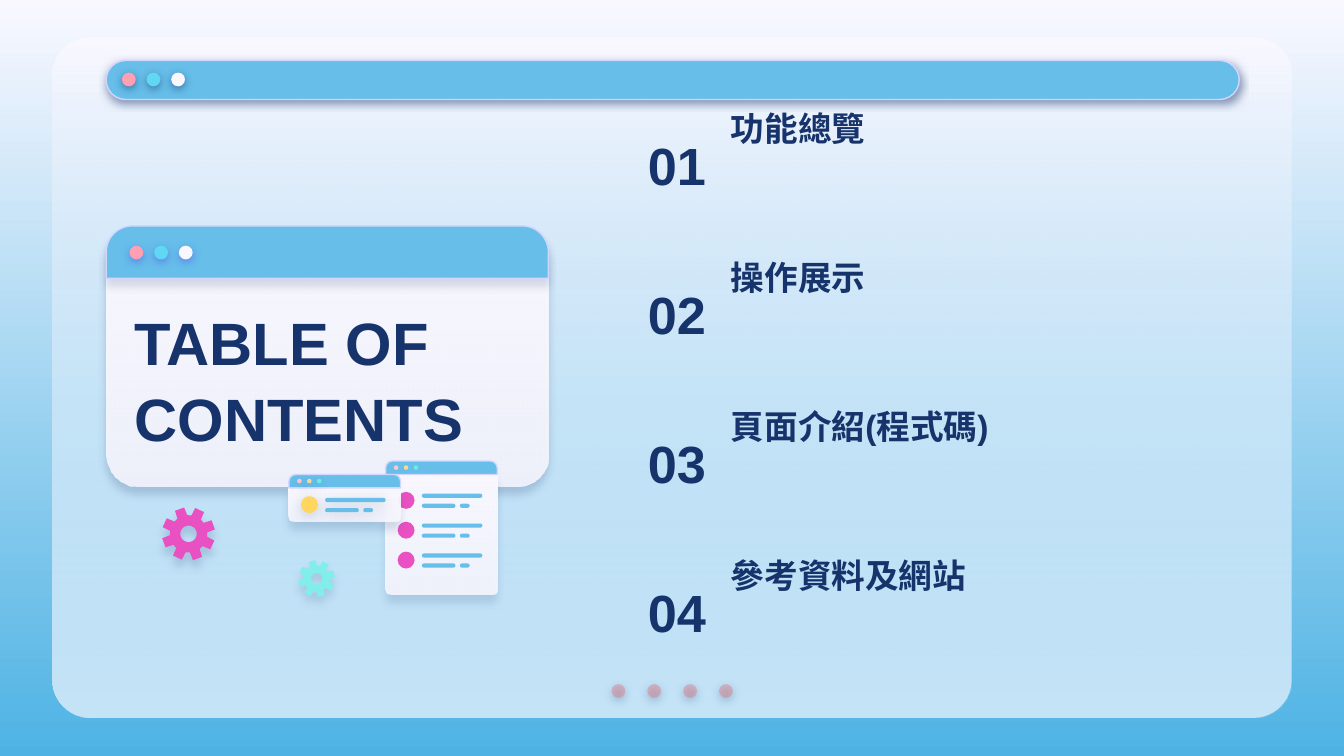
"""Build a table of contents slide with window, list and gear illustrations."""
import math

from lxml import etree
from pptx import Presentation
from pptx.dml.color import RGBColor
from pptx.enum import shapes, text
from pptx.oxml.ns import qn
from pptx.util import Pt

THEME = {
    "font": "Arial", "title": 32, "number": 28, "label": 18,
    "navy": "17336B", "blue": "66BEE9", "sky": "4EB3E4", "paper": "F9F8FF",
    "edge": "D2D6FF", "pink": "FDA0B4", "cyan": "60D8F4", "violet": "5352EE",
    "rose": "E27B83", "magenta": "E951C2", "yellow": "FFD65F", "mint": "81EEEB",
    "blush": "FFC3D0", "sand": "F5D79B", "aqua": "6AEBE7",
}
TITLE = "TABLE OF CONTENTS"
TITLE_BOX = (64.8, 160.6, 223.2, 83.5)
ENTRIES = ["功能總覽", "操作展示", "頁面介紹(程式碼)", "參考資料及網站"]
ENTRY_TOP, ENTRY_STEP = 54, 79.9

PANEL = (28, 20.2, 664, 364.4)
BAR = (56.9, 32.4, 607, 20.9)
CARD = (56.9, 121, 236.9, 139.7)
CARD_HEAD = CARD[:3] + (28.1,)
DOT = 7.4
PAPER_FADE = [("paper", 100), ("paper", 87)]
SOFT = ("navy", 50, 4.5, 1.5)
FAINT = ("navy", 18, 6.8, 1.5)
DOT_ROWS = [
    {"at": (327.6, 366.5), "step": 19.2, "colors": ["rose"] * 4, "shadow": SOFT, "alpha": 44},
    {"at": (65.3, 38.9), "step": 13.2, "colors": ["pink", "cyan", "paper"], "shadow": SOFT},
    {"at": (69.4, 131.6), "step": 13.2, "colors": ["pink", "cyan", "paper"],
     "shadow": ("violet", 50, 4.5, 1.5)},
]
LISTS = [
    {"at": (206.6, 247), "body": 64.3, "first": 16.5, "rows": ["magenta"] * 3,
     "shadow": ("navy", 15, 4.5, 4.5), "dots": None, "detail": None},
    {"at": (154.8, 254.2), "body": 18, "first": 11.6, "rows": ["yellow"],
     "shadow": ("navy", 16, 4.5, 4.5), "dots": ("navy", 17, 4.5, 2.2), "detail": FAINT},
]
LIST_WIDTH, LIST_HEAD, LIST_RADIUS, ROW_STEP = 59.8, 7.2, 3.6, 16
ROW_LINES = [(19.4, 1, 32.4), (19.4, 6.4, 18), (39.8, 6.4, 5.2)]
GEARS = [
    {"center": (101, 286), "radius": 14.3, "turn": -20, "color": "magenta",
     "shadow": ("navy", 16, 4.5, 4.5)},
    {"center": (169.7, 310), "radius": 9.9, "turn": -15, "color": "mint",
     "shadow": ("navy", 15, 4.5, 3.8)},
]
RECT, ELLIPSE, TOP_ROUND = (shapes.MSO_SHAPE.ROUNDED_RECTANGLE, shapes.MSO_SHAPE.OVAL,
                            shapes.MSO_SHAPE.ROUND_2_SAME_RECTANGLE)


def rgb(name):
    return RGBColor.from_string(THEME[name])


def set_alpha(color, percent):
    if percent < 100:
        etree.SubElement(color, qn("a:alpha")).set("val", str(percent * 1000))


def set_gradient(fill, names):
    fill.gradient()
    fill.gradient_angle = 270
    for stop, name, position in zip(fill.gradient_stops, names, (0, 1)):
        stop.color.rgb = rgb(name)
        stop.position = position


def style(sp, fill, shadow=None, line=None, alpha=100):
    if isinstance(fill, list):
        set_gradient(sp.fill, [name for name, _ in fill])
        alphas = [percent for _, percent in fill]
    else:
        sp.fill.solid()
        sp.fill.fore_color.rgb = rgb(fill)
        alphas = [alpha]
    for color, percent in zip(list(sp.element.spPr.iter(qn("a:srgbClr"))), alphas):
        set_alpha(color, percent)
    if line:
        sp.line.color.rgb = rgb(line)
        sp.line.width = Pt(0.75)
    else:
        sp.line.fill.background()
    sp.shadow.inherit = False
    if shadow:
        name, percent, blur, dist = shadow
        effects = sp.element.spPr.find(qn("a:effectLst"))
        outer = etree.SubElement(effects, qn("a:outerShdw"), blurRad=str(Pt(blur)),
                                 dist=str(Pt(dist)), dir="5400000", algn="bl", rotWithShape="0")
        color = etree.SubElement(outer, qn("a:srgbClr"), val=THEME[name])
        set_alpha(color, percent)


def add_shape(s, kind, box, fill, adj=(), **look):
    sp = s.shapes.add_shape(kind, *map(Pt, box))
    for i, value in enumerate(adj):
        sp.adjustments[i] = value
    style(sp, fill, **look)


def add_dots(s, at, step, colors, size=DOT, **look):
    for i, color in enumerate(colors):
        add_shape(s, ELLIPSE, (at[0] + i * step, at[1], size, size), color, **look)


def add_list(s, at, body, first, rows, shadow, dots, detail):
    x, y = at
    radius = LIST_RADIUS / min(body, LIST_WIDTH)
    add_shape(s, TOP_ROUND, (x, y + LIST_HEAD, LIST_WIDTH, body), PAPER_FADE,
              (0, radius), shadow=shadow)
    add_shape(s, TOP_ROUND, (x, y, LIST_WIDTH, LIST_HEAD), "blue", (0.5, 0), line="edge")
    add_dots(s, (x + 4.4, y + 2.3), 5.3, ["blush", "sand", "aqua"], 2.4, shadow=dots)
    for i, color in enumerate(rows):
        top = y + first + i * ROW_STEP
        add_shape(s, ELLIPSE, (x + 6.4, top, 9.1, 9.1), color, shadow=detail)
        for dx, dy, width in ROW_LINES:
            add_shape(s, RECT, (x + dx, top + dy, width, 2.2), "blue", (0.5,), shadow=detail)


def add_gear(s, center, radius, turn, color, shadow):
    def point(ratio, degrees):
        a = math.radians(degrees)
        return (Pt(center[0] + ratio * radius * math.sin(a)),
                Pt(center[1] - ratio * radius * math.cos(a)))

    tooth = [(0.7, -16), (1, -10.5), (1, 10.5), (0.7, 16)]
    rim = [point(ratio, turn + 45 * i + a) for i in range(8) for ratio, a in tooth]
    hole = [point(0.31, -a) for a in range(0, 360, 15)]
    builder = s.shapes.build_freeform(*rim[0])
    builder.add_line_segments(rim[1:])
    builder.move_to(*hole[0])
    builder.add_line_segments(hole[1:])
    style(builder.convert_to_shape(), color, shadow=shadow)


def set_text(sp, words, size, align=text.PP_ALIGN.LEFT, spacing=1.0):
    tf = sp.text_frame
    frame = {"word_wrap": True, "auto_size": text.MSO_AUTO_SIZE.NONE,
             "vertical_anchor": text.MSO_ANCHOR.MIDDLE}
    frame.update({f"margin_{side}": Pt(7.2) for side in ("left", "right", "top", "bottom")})
    for name, value in frame.items():
        setattr(tf, name, value)
    p = tf.paragraphs[0]
    p.alignment, p.line_spacing = align, spacing
    r = p.add_run()
    r.text = words
    for name, value in {"name": THEME["font"], "size": Pt(THEME[size]), "bold": True}.items():
        setattr(r.font, name, value)
    r.font.color.rgb = rgb("navy")


def main():
    prs = Presentation()
    prs.slide_width, prs.slide_height = Pt(720), Pt(405)
    s = prs.slides.add_slide(prs.slide_layouts[5])
    set_gradient(s.background.fill, ["paper", "sky"])

    add_shape(s, RECT, PANEL, "paper", (0.056,))
    add_shape(s, RECT, PANEL, [("paper", 100), ("blue", 35)], (0.056,))
    add_shape(s, RECT, BAR, "blue", (0.5,), line="edge", shadow=SOFT)
    add_shape(s, RECT, CARD, PAPER_FADE, (0.124,), shadow=("navy", 22, 4.5, 3.8))
    add_shape(s, TOP_ROUND, CARD_HEAD, "blue", (0.5, 0), line="edge",
              shadow=("navy", 15, 4.5, 3.8))
    for row in DOT_ROWS:
        add_dots(s, **row)

    title = s.shapes.title
    title.element.getparent().append(title.element)
    for name, value in zip(("left", "top", "width", "height"), TITLE_BOX):
        setattr(title, name, Pt(value))
    set_text(title, TITLE, "title", spacing=1.05)

    for i, label in enumerate(ENTRIES):
        top = ENTRY_TOP + i * ENTRY_STEP
        number = s.shapes.add_textbox(*map(Pt, (307.4, top, 77.8, 68)))
        set_text(number, f"{i + 1:02}", "number", text.PP_ALIGN.RIGHT)
        set_text(s.shapes.add_textbox(*map(Pt, (384.5, top, 275, 28.8))), label, "label")

    for window in LISTS:
        add_list(s, **window)
    for gear in GEARS:
        add_gear(s, **gear)
    prs.save("out.pptx")


if __name__ == "__main__":
    main()
